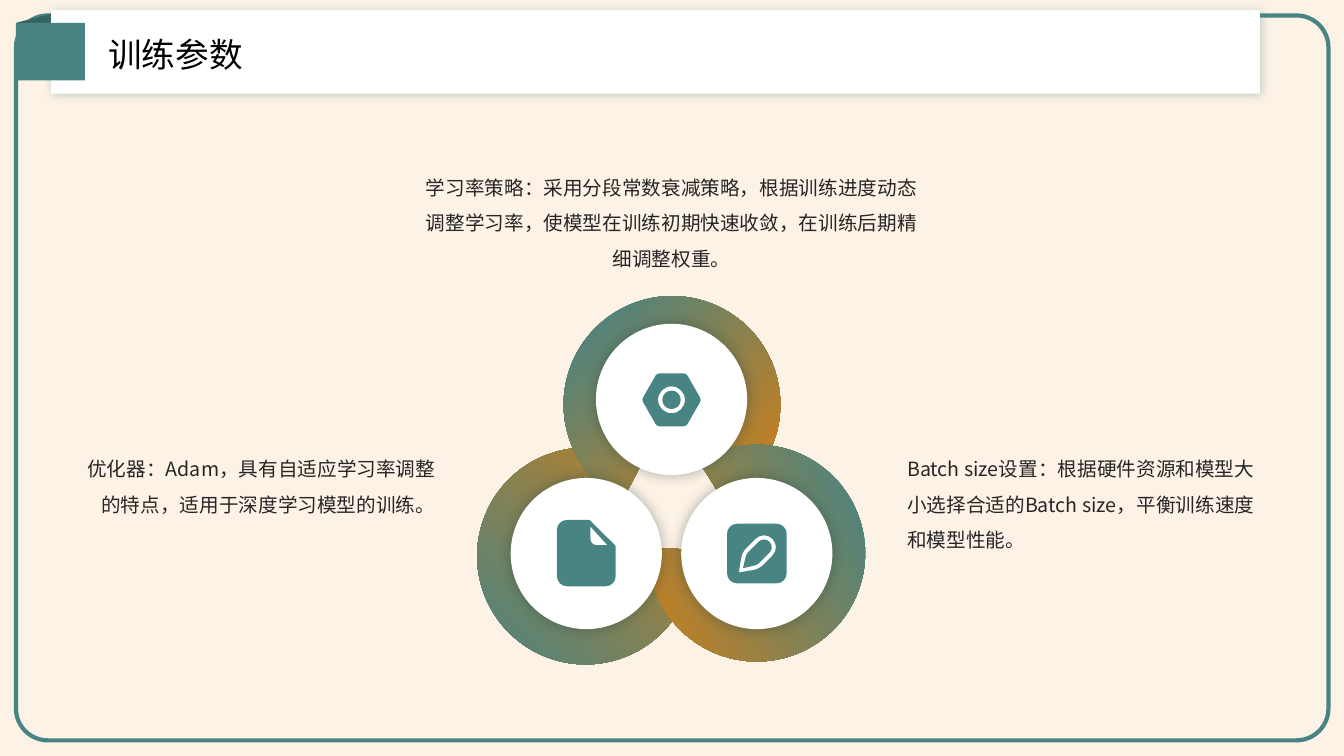
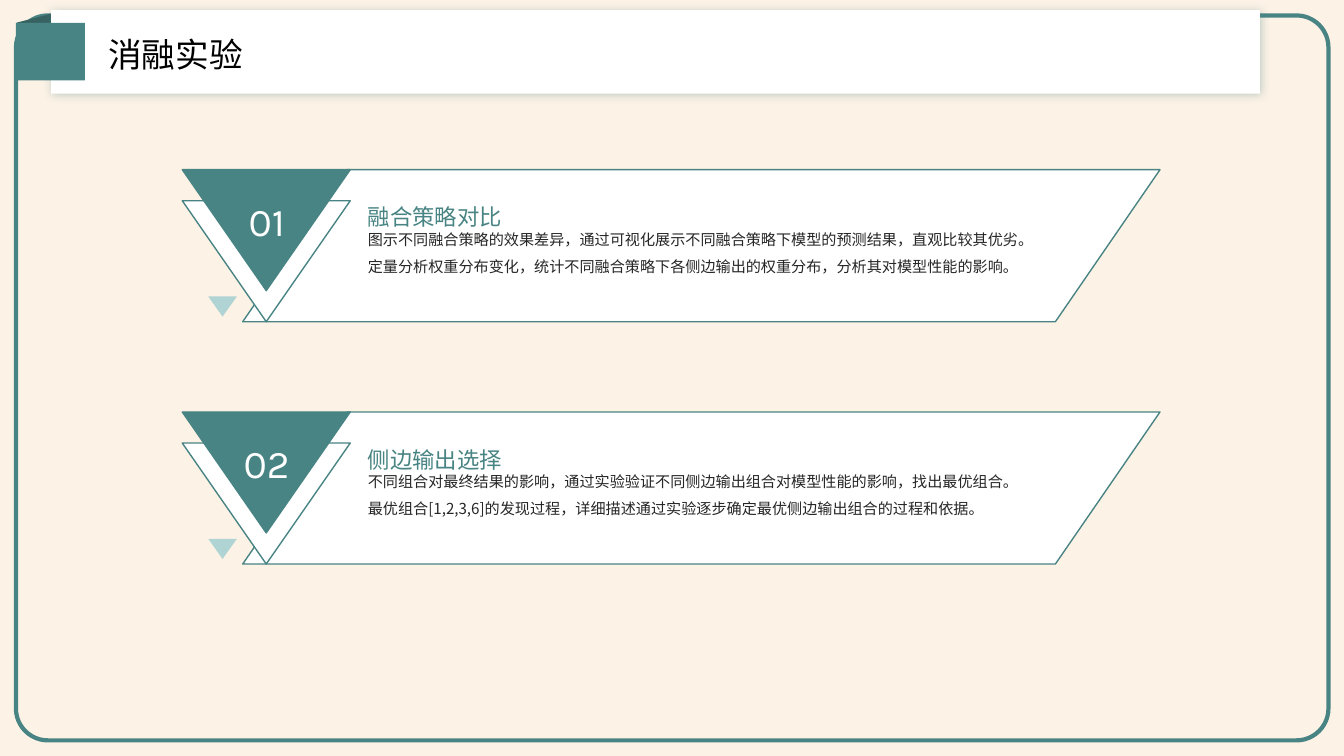
from lxml import etree
from pptx import Presentation, util as u
from pptx.dml.color import RGBColor
from pptx.enum import shapes, text
from pptx.oxml.ns import qn

TEAL, DARK_TEAL, PALE_TEAL, ORANGE = "488483", "366362", "B0D4D3", "DD7E0E"
CREAM, WHITE, BLACK, INK = "FDF2E6", "FFFFFF", "000000", "262626"
CJK = "Noto Sans CJK SC"
rgb = RGBColor.from_string
MS, PP, MA = shapes.MSO_SHAPE, text.PP_ALIGN, text.MSO_ANCHOR

prs = Presentation()
prs.slide_width, prs.slide_height = u.Inches(40 / 3), u.Inches(7.5)
CELL = prs.slide_width / 160  # square grid: 160 columns by 90 rows
bg = prs.slide_master.background.fill
bg.solid()
bg.fore_color.rgb = rgb(CREAM)


def draw(s, kind, box, fill=None, line=None, width=1, adj=(), rot=0, shadow=None):
    """Add a preset shape; box is in grid cells, shadow is (colour, alpha %, blur pt)."""
    sp = s.shapes.add_shape(kind, *[round(v * CELL) for v in box])
    sp.rotation = rot
    for i, value in enumerate(adj):
        sp.adjustments[i] = value
    if fill:
        sp.fill.solid()
        sp.fill.fore_color.rgb = rgb(fill)
    else:
        sp.fill.background()
    if line:
        sp.line.color.rgb = rgb(line)
        sp.line.width = u.Pt(width)
    else:
        sp.line.fill.background()
    sp.shadow.inherit = False
    if shadow:
        color, alpha, blur = shadow
        effects = sp._element.spPr.find(qn("a:effectLst"))
        outer = etree.SubElement(effects, qn("a:outerShdw"), blurRad=str(u.Pt(blur)),
                                 dist="0", dir="0", algn="ctr", rotWithShape="0")
        clr = etree.SubElement(outer, qn("a:srgbClr"), val=color)
        etree.SubElement(clr, qn("a:alpha"), val=str(alpha * 1000))
    return sp


def write(s, content, box, size, color, font=CJK, align=PP.LEFT, anchor=MA.TOP,
          spacing=1.5, sp=None):
    """Put one paragraph in a new text box or in the placeholder sp; a newline breaks the line."""
    left, top, width, height = [round(v * CELL) for v in box]
    sp = sp or s.shapes.add_textbox(left, top, width, height)
    sp.left, sp.top, sp.width, sp.height = left, top, width, height
    tf = sp.text_frame
    tf.word_wrap = True
    tf.auto_size = text.MSO_AUTO_SIZE.NONE
    tf.vertical_anchor = anchor
    tf.margin_left = tf.margin_top = tf.margin_right = tf.margin_bottom = 0
    p = tf.paragraphs[0]
    p.text = content.replace("\n", "\v")
    p.alignment, p.line_spacing = align, spacing
    p.space_before = u.Pt(0)
    for r in p.runs:
        r.font.size, r.font.name = u.Pt(size), font
        r.font.color.rgb = rgb(color)
        etree.SubElement(r.font._element, qn("a:ea"), typeface=font)


# Frame and title band on both slides
for title in ("训练参数", "消融实验"):
    s = prs.slides.add_slide(prs.slide_layouts[5])
    draw(s, MS.ROUNDED_RECTANGLE, (1.9, 1.84, 156.25, 86.3), line=TEAL, width=3, adj=[0.044])
    draw(s, MS.RECTANGLE, (2.6, 1.9, 5.6, 5.6), DARK_TEAL, rot=345.4)
    draw(s, MS.RECTANGLE, (6.1, 1.22, 143.9, 9.94), WHITE, shadow=(TEAL, 36, 7))
    draw(s, MS.RECTANGLE, (1.9, 2.74, 8.2, 6.85), TEAL)
    write(s, title, (12.9, 2.9, 102.1, 6.5), 24, BLACK, anchor=MA.MIDDLE,
          spacing=1.1, sp=s.shapes.title)
    s.shapes._spTree.append(s.shapes.title._element)
params, ablation = prs.slides

# Slide 1: three linked rings (column, row, rotation, flip, arc, stops, gradient angle)
rings = [
    (56.8, 53.3, 315, False, (37.81, 203.217, 0.187), (0.13, 1), 0),
    (67.1, 35.25, 45, False, (43.34, 215.094, 0.186), (0.19, 0.87), 0),
    (77.2, 52.95, 21.7, True, (11.202, 194.414, 0.164), (0.13, 1), 315),
]
for x, y, rot, flip, arc, stops, angle in rings:
    sp = draw(params, MS.BLOCK_ARC, (x, y, 25.8, 25.8), adj=arc, rot=rot)
    sp.fill.gradient()
    sp.fill.gradient_angle = angle
    for stop, position, color in zip(sp.fill.gradient_stops, stops, (TEAL, ORANGE)):
        stop.position, stop.color.rgb = position, rgb(color)
    if flip:
        sp._element.spPr.find(qn("a:xfrm")).set("flipH", "1")

# White discs
for x, y in ((81.1, 56.9), (60.8, 56.9), (70.95, 38.55)):
    draw(params, MS.OVAL, (x, y, 18, 18), WHITE, shadow=("244242", 40, 10))

# Icons: origin, then outlines whose corners are (column, row, radius)
nut_holes = [[(3.55 + a * r, 3.15 + b * r, r) for a, b in ((-1, -1), (1, -1), (1, 1), (-1, 1))]
             for r in (1.6, 1.1)]
icons = [
    # Page with a folded corner
    ((66.3, 61.9), [
        [(0, 0, 1.2), (3.9, 0, 0), (7, 3.1, 0.1), (7, 7.9, 1.2), (0, 7.9, 1.2)],
        [(4, 0.8, 0), (4, 3, 0.7), (6, 3, 0)]]),
    # Pen on a tile
    ((86.55, 62.35), [
        [(0, 0, 1.2), (7.1, 0, 1.2), (7.1, 7.1, 1.2), (0, 7.1, 1.2)],
        [(1.4, 5.8, 0), (1.8, 3.4, 0.6), (4.4, 0.8, 1.4), (6.4, 2.8, 1.4), (3.8, 5.4, 0.6)],
        [(1.9, 5.3, 0), (2.3, 3.6, 0.3), (4.4, 1.5, 0.9), (5.7, 2.8, 0.9), (3.6, 4.9, 0.3)]]),
    # Nut
    ((76.4, 44.45), [
        [(1.8, 0, 0.3), (5.3, 0, 0.3), (7.1, 3.15, 0.3),
         (5.3, 6.3, 0.3), (1.8, 6.3, 0.3), (0, 3.15, 0.3)], *nut_holes]),
]
for (left, top), outlines in icons:
    builder, curves, count = None, [], 0
    for corners in outlines:
        points = []
        for i, (x, y, radius) in enumerate(corners):
            if not radius:
                points.append((x, y))
                continue
            ends = []
            for nx, ny, _ in (corners[i - 1], corners[(i + 1) % len(corners)]):
                share = radius / ((nx - x) ** 2 + (ny - y) ** 2) ** 0.5
                ends.append((x + (nx - x) * share, y + (ny - y) * share))
            # Handles lie 0.55 of the way to the corner
            handles = [(ex + 0.55 * (x - ex), ey + 0.55 * (y - ey)) for ex, ey in ends]
            curves.append(count + len(points))
            points += [ends[0], *handles, ends[1]]
        count += len(points) - 1
        points = [(round((left + x) * CELL), round((top + y) * CELL)) for x, y in points]
        if builder:
            builder.move_to(*points[0])
        else:
            builder = params.shapes.build_freeform(*points[0])
        builder.add_line_segments(points[1:], close=True)
    sp = builder.convert_to_shape()
    # Join the three segments of each rounded corner into one curve
    segments = list(sp._element.iter(qn("a:lnTo")))
    for first in curves:
        trio = segments[first:first + 3]
        curve = etree.Element(qn("a:cubicBezTo"))
        trio[0].addprevious(curve)
        for segment in trio:
            curve.append(segment[0])
            segment.getparent().remove(segment)
    sp.fill.solid()
    sp.fill.fore_color.rgb = rgb(TEAL)
    sp.line.fill.background()
    sp.shadow.inherit = False

# Captions around the rings
captions = [
    ("学习率策略：采用分段常数衰减策略，根据训练进度动态调整学习率，使模型在训练初期快速收敛，在训练后期精细调整权重。",
     (49.8, 19.56, 60.3, 13.5), PP.CENTER),
    ("Batch size设置：根据硬件资源和模型大小选择合适的Batch size，平衡训练速度和模型性能。",
     (108, 53.05, 43.2, 22), PP.LEFT),
    ("优化器：Adam，具有自适应学习率调整的特点，适用于深度学习模型的训练。",
     (8.65, 53.05, 43.2, 22), PP.RIGHT),
]
for content, box, align in captions:
    write(params, content, box, 14, INK, align=align)

# Slide 2: numbered panels, one every 28.85 rows
panels = [
    ("融合策略对比",
     "图示不同融合策略的效果差异，通过可视化展示不同融合策略下模型的预测结果，直观比较其优劣。\n"
     "定量分析权重分布变化，统计不同融合策略下各侧边输出的权重分布，分析其对模型性能的影响。"),
    ("侧边输出选择",
     "不同组合对最终结果的影响，通过实验验证不同侧边输出组合对模型性能的影响，找出最优组合。\n"
     "最优组合[1,2,3,6]的发现过程，详细描述通过实验逐步确定最优侧边输出组合的过程和依据。"),
]
for i, (heading, body) in enumerate(panels):
    y = 20.2 + 28.85 * i
    draw(ablation, MS.PARALLELOGRAM, (28.9, y, 109.2, 18.1), WHITE, TEAL, adj=[0.688])
    for dy, fill in ((3.7, WHITE), (0, TEAL)):
        draw(ablation, MS.FLOWCHART_MERGE, (21.7, y + dy, 20, 14.4), fill, TEAL)
    draw(ablation, MS.FLOWCHART_MERGE, (24.8, y + 15.1, 3.4, 2.4), PALE_TEAL)
    write(ablation, f"{i + 1:02}", (28.2, y + 1.6, 7.1, 7), 28, WHITE, font="Karla",
          align=PP.CENTER, spacing=1.3)
    write(ablation, heading, (43.8, y + 1.6, 82.1, 5.6), 16, TEAL, anchor=MA.BOTTOM, spacing=1.3)
    write(ablation, body, (43.8, y + 6.1, 82.1, 10.9), 10.8, INK)

prs.save("out.pptx")
